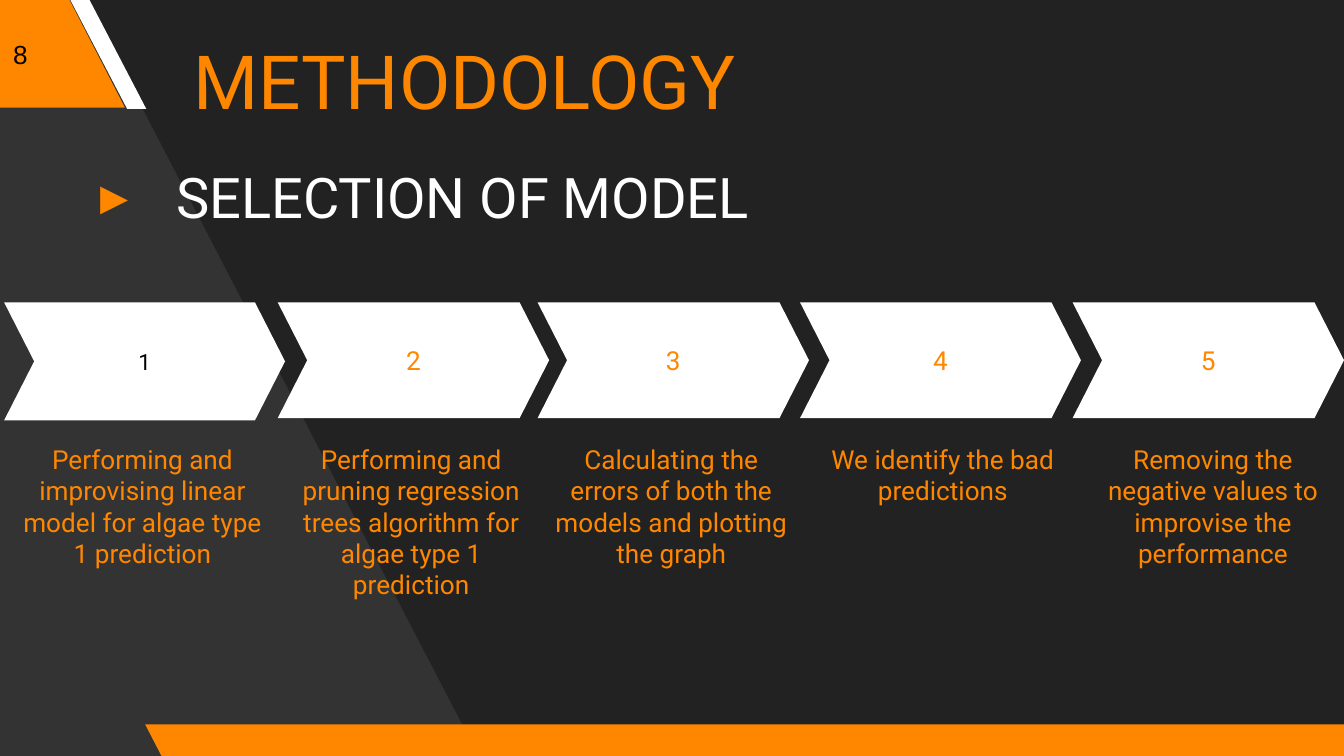
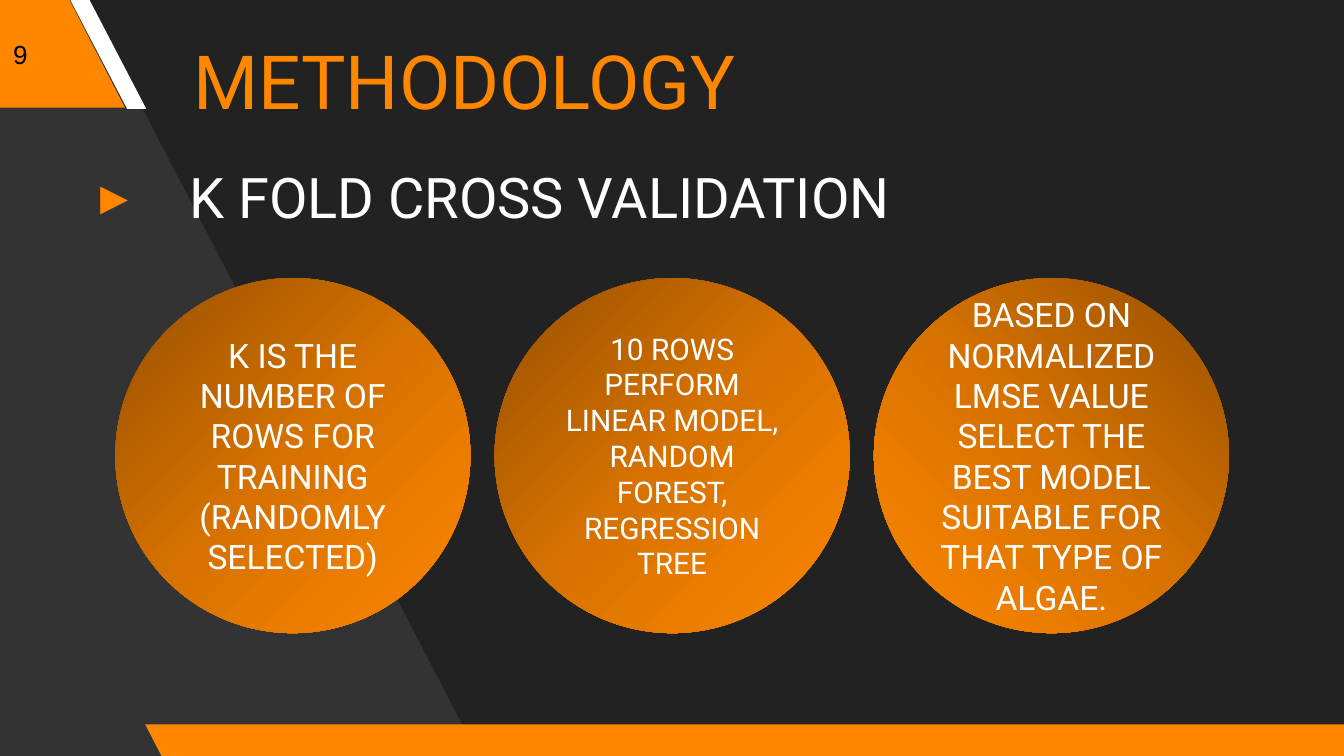
from copy import deepcopy
from dataclasses import dataclass
from typing import Any

from lxml.etree import SubElement
from pptx import Presentation
from pptx.dml.color import RGBColor
from pptx.enum.shapes import MSO_SHAPE
from pptx.enum.text import MSO_ANCHOR, MSO_AUTO_SIZE, PP_ALIGN
from pptx.oxml.ns import qn
from pptx.util import Pt


# Theme
@dataclass(frozen=True)
class Theme:
    background: str = "222222"
    panel: str = "333333"
    accent: str = "FF8700"
    accent_mid: str = "D77200"
    accent_dark: str = "975000"
    light: str = "FFFFFF"
    ink: str = "000000"
    font: str = "Roboto"
    number_font: str = "Arial"
    title: float = 40
    heading: float = 30
    circle: float = 18
    circle_small: float = 16
    body: float = 14
    small: float = 12
    inset: float = 7.2


THEME = Theme()
WIDTH, HEIGHT = 720, 405


@dataclass(frozen=True)
class Box:
    left: float
    top: float
    width: float
    height: float

    def lengths(self) -> tuple[Pt, ...]:
        return Pt(self.left), Pt(self.top), Pt(self.width), Pt(self.height)


@dataclass(frozen=True)
class TextStyle:
    size: float
    color: str
    font: str = THEME.font
    align: PP_ALIGN = PP_ALIGN.LEFT
    anchor: MSO_ANCHOR = MSO_ANCHOR.MIDDLE
    inset_y: float = THEME.inset
    auto_size: MSO_AUTO_SIZE = MSO_AUTO_SIZE.NONE


@dataclass(frozen=True)
class Band:
    box: Box
    slant: float
    color: str


@dataclass(frozen=True)
class Step:
    arrow: Box
    caption: Box
    text: str
    number_size: float = THEME.body
    number_color: str = THEME.accent


@dataclass(frozen=True)
class Circle:
    text: str
    size: float = THEME.circle
    angle: int = 45


# Shared layout
PANEL_OUTLINE = [(256.3, 405), (44.6, -2.9), (-4.3, -2.9), (-1.4, 407.5)]
BANDS = [
    Band(Box(-71.3, -1.4, 138.2, 59), 0.515, THEME.accent),
    Band(Box(37.4, -0.7, 41, 59), 0.75, THEME.light),
    Band(Box(77.8, 388.1, 658.8, 18), 0.515, THEME.accent),
]
NUMBER_BOX = Box(0, 0, 46.8, 57.6)
TITLE_BOX = Box(96.5, 0, 556.6, 85)
HEADING_BOX = Box(46.8, 79.9, 673.2, 61.9)

NUMBER_STYLE = TextStyle(THEME.body, THEME.ink, THEME.number_font)
TITLE_STYLE = TextStyle(THEME.title, THEME.accent)
HEADING_STYLE = TextStyle(THEME.heading, THEME.light, anchor=MSO_ANCHOR.TOP)
CAPTION_STYLE = TextStyle(
    THEME.body, THEME.accent, align=PP_ALIGN.CENTER, anchor=MSO_ANCHOR.TOP,
    inset_y=3.6, auto_size=MSO_AUTO_SIZE.SHAPE_TO_FIT_TEXT,
)

# Model selection steps
ARROW_TOP, ARROW_HEIGHT, ARROW_POINT = 162, 62, 0.255
CAPTION_TOP = 234
STEPS = [
    Step(Box(2.2, ARROW_TOP, 150.5, 63.2), Box(2.2, CAPTION_TOP, 148.3, 58.3),
         "Performing and improvising linear model for algae type 1 prediction",
         THEME.small, THEME.ink),
    Step(Box(148.8, ARROW_TOP, 145.4, ARROW_HEIGHT), Box(149, CAPTION_TOP, 142.6, 75),
         "Performing and pruning regression trees algorithm for algae type 1 prediction"),
    Step(Box(288, ARROW_TOP, 145.4, ARROW_HEIGHT), Box(288, CAPTION_TOP, 143.3, 58.3),
         "Calculating the errors of both the models and plotting the graph"),
    Step(Box(428.6, ARROW_TOP, 150.5, ARROW_HEIGHT), Box(430.6, CAPTION_TOP, 149, 41),
         "We identify the bad predictions"),
    Step(Box(574.6, ARROW_TOP, 145.4, ARROW_HEIGHT), Box(579.6, CAPTION_TOP, 140.4, 58.3),
         "Removing the negative values to improvise the performance"),
]

# Cross validation circles
CIRCLE_LEFT, CIRCLE_TOP, CIRCLE_SIZE, CIRCLE_PITCH = 61.8, 149, 190.2, 203.2
CIRCLES = [
    Circle("K IS THE NUMBER OF ROWS FOR TRAINING (RANDOMLY SELECTED)"),
    Circle("10 ROWS PERFORM LINEAR MODEL, RANDOM FOREST, REGRESSION TREE",
           THEME.circle_small),
    Circle("BASED ON NORMALIZED LMSE VALUE SELECT THE BEST MODEL SUITABLE FOR "
           "THAT TYPE OF ALGAE.", angle=135),
]


# Drawing helpers
def rgb(color: str) -> RGBColor:
    return RGBColor.from_string(color)


def assign(target: Any, values: dict[str, Any]) -> None:
    for attribute, value in values.items():
        setattr(target, attribute, value)


def write(shape: Any, text: str, style: TextStyle, bullet_indent: float = 0) -> None:
    frame = shape.text_frame
    assign(frame, {
        "word_wrap": True,
        "auto_size": style.auto_size,
        "vertical_anchor": style.anchor,
        "margin_left": Pt(THEME.inset),
        "margin_right": Pt(THEME.inset),
        "margin_top": Pt(style.inset_y),
        "margin_bottom": Pt(style.inset_y),
    })
    paragraph = frame.paragraphs[0]
    paragraph.alignment = style.align
    if bullet_indent:
        add_bullet(paragraph, bullet_indent)
    run = paragraph.add_run()
    run.text = text
    assign(run.font, {"name": style.font, "size": Pt(style.size)})
    run.font.color.rgb = rgb(style.color)


def add_bullet(paragraph: Any, indent: float) -> None:
    properties = paragraph._p.get_or_add_pPr()
    properties.set("marL", str(Pt(indent)))
    properties.set("indent", str(-Pt(indent)))
    color = SubElement(properties, qn("a:buClr"))
    SubElement(color, qn("a:srgbClr"), val=THEME.accent)
    SubElement(properties, qn("a:buFont"), typeface=THEME.font)
    SubElement(properties, qn("a:buChar"), char="▸")


def add_text(slide: Any, box: Box, text: str, style: TextStyle,
             bullet_indent: float = 0) -> None:
    write(slide.shapes.add_textbox(*box.lengths()), text, style, bullet_indent)


def paint(shape: Any, color: str) -> None:
    shape.shadow.inherit = False
    shape.line.fill.background()
    shape.fill.solid()
    shape.fill.fore_color.rgb = rgb(color)


def paint_gradient(shape: Any, angle: int) -> None:
    shape.shadow.inherit = False
    shape.line.fill.background()
    shape.fill.gradient()
    shape.fill.gradient_angle = 360 - angle
    first = shape.element.spPr.find(".//" + qn("a:gs"))
    first.addnext(deepcopy(first))
    colors = (THEME.accent_dark, THEME.accent_mid, THEME.accent)
    for stop, position, color in zip(shape.fill.gradient_stops, (0, 0.5, 1), colors):
        stop.position = position
        stop.color.rgb = rgb(color)


# Slide parts
def draw_band(slide: Any, band: Band) -> None:
    shape = slide.shapes.add_shape(MSO_SHAPE.PARALLELOGRAM, *band.box.lengths())
    shape.adjustments[0] = band.slant
    shape.element.spPr.find(qn("a:xfrm")).set("flipH", "1")
    paint(shape, band.color)


def draw_step(slide: Any, number: int, step: Step) -> None:
    arrow = slide.shapes.add_shape(MSO_SHAPE.CHEVRON, *step.arrow.lengths())
    arrow.adjustments[0] = ARROW_POINT
    paint(arrow, THEME.light)
    write(arrow, str(number),
          TextStyle(step.number_size, step.number_color, align=PP_ALIGN.CENTER))
    add_text(slide, step.caption, step.text, CAPTION_STYLE)


def draw_circle(slide: Any, position: int, circle: Circle) -> None:
    box = Box(CIRCLE_LEFT + position * CIRCLE_PITCH, CIRCLE_TOP, CIRCLE_SIZE, CIRCLE_SIZE)
    shape = slide.shapes.add_shape(MSO_SHAPE.OVAL, *box.lengths())
    paint_gradient(shape, circle.angle)
    write(shape, circle.text,
          TextStyle(circle.size, THEME.light, align=PP_ALIGN.CENTER))


def add_methodology_slide(deck: Any, number: int, heading: str, indent: float) -> Any:
    slide = deck.slides.add_slide(deck.slide_layouts[6])
    slide.background.fill.solid()
    slide.background.fill.fore_color.rgb = rgb(THEME.background)

    start, *corners = [(Pt(x), Pt(y)) for x, y in PANEL_OUTLINE]
    outline = slide.shapes.build_freeform(*start)
    outline.add_line_segments(corners, close=True)
    paint(outline.convert_to_shape(), THEME.panel)
    for band in BANDS:
        draw_band(slide, band)

    add_text(slide, NUMBER_BOX, str(number), NUMBER_STYLE)
    add_text(slide, TITLE_BOX, "METHODOLOGY", TITLE_STYLE)
    add_text(slide, HEADING_BOX, heading, HEADING_STYLE, indent)
    return slide


def main() -> None:
    deck = Presentation()
    assign(deck, {"slide_width": Pt(WIDTH), "slide_height": Pt(HEIGHT)})

    selection = add_methodology_slide(deck, 8, "SELECTION OF MODEL", 40.5)
    for number, step in enumerate(STEPS, start=1):
        draw_step(selection, number, step)

    validation = add_methodology_slide(deck, 9, "K FOLD CROSS VALIDATION", 47.5)
    for position, circle in enumerate(CIRCLES):
        draw_circle(validation, position, circle)

    deck.save("out.pptx")


if __name__ == "__main__":
    main()
